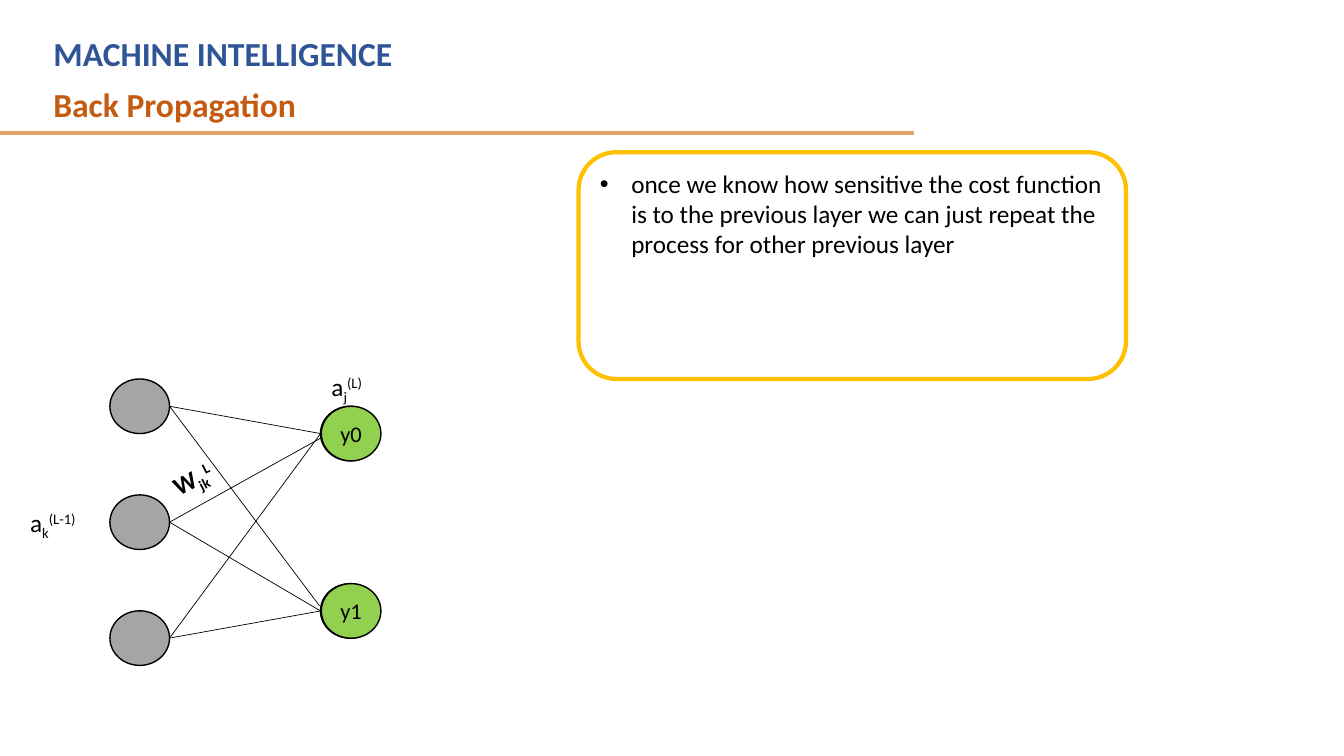
from dataclasses import dataclass

from lxml import etree
from pptx import Presentation
from pptx.dml.color import RGBColor
from pptx.enum import shapes, text
from pptx.oxml import ns
from pptx.util import Pt

BLACK = RGBColor(0x00, 0x00, 0x00)
BLUE = RGBColor(0x2F, 0x55, 0x97)
ORANGE = RGBColor(0xC5, 0x5A, 0x11)
TAN = RGBColor(0xDF, 0xA2, 0x67)
GOLD = RGBColor(0xFF, 0xC0, 0x00)
GREY = RGBColor(0xA5, 0xA5, 0xA5)
GREEN = RGBColor(0x92, 0xD0, 0x50)

NODE_WIDTH, NODE_HEIGHT = 42.6, 39
INPUT_LEFT, OUTPUT_LEFT = 78.5, 229.5
INPUT_TOPS = [270.7 + 82.8 * row for row in range(3)]
OUTPUT_TOPS = [290.2, 416.9]


@dataclass
class Node:
    left: float
    top: float
    fill: RGBColor
    label: str = ""


@dataclass
class Link:
    source: int
    target: int
    shift_x: float = 0
    shift_y: float = 0


@dataclass
class Symbol:
    base: str
    subscript: str
    superscript: str
    left: float
    top: float
    width: float
    bold: bool = False
    rotation: float = 0


OUTPUT_SHADOWS = [Node(OUTPUT_LEFT - 0.6, top, GREY) for top in OUTPUT_TOPS]
INPUTS = [Node(INPUT_LEFT, top, GREY) for top in INPUT_TOPS]
OUTPUTS = [Node(OUTPUT_LEFT, top, GREEN, f"y{row}")
           for row, top in enumerate(OUTPUT_TOPS)]
LINKS = [Link(0, 0), Link(0, 1, -0.7, -3.6), Link(1, 0, 0.7, 2.9),
         Link(1, 1), Link(2, 0), Link(2, 1)]
SYMBOLS = [
    Symbol("a", "j", "(L)", 229.7, 261.4, 63.4),
    Symbol("a", "k", "(L-1)", 14.4, 358.6, 63.4),
    Symbol("W", "jk", "L", 115.9, 326.9, 43.9, True, 333),
]


def style(span, size: float, color: RGBColor, bold: bool = False) -> None:
    span.font.name = "Calibri"
    span.font.size = Pt(size)
    span.font.color.rgb = color
    span.font.bold = bold


def place(box, left: float, top: float, width: float, height: float) -> None:
    box.left, box.top, box.width, box.height = map(
        Pt, (left, top, width, height))


def write(box, words: str, size: float, color: RGBColor, bold: bool = False):
    frame = box.text_frame
    frame.word_wrap = True
    frame.auto_size = text.MSO_AUTO_SIZE.NONE
    frame.vertical_anchor = text.MSO_ANCHOR.TOP
    frame.text = words
    para = frame.paragraphs[0]
    para.alignment = text.PP_ALIGN.LEFT
    para.space_before = Pt(0)
    style(para.runs[0], size, color, bold)
    return para


def draw_line(page, x1: float, y1: float, x2: float, y2: float,
              color: RGBColor, weight: float) -> None:
    line = page.shapes.add_connector(
        shapes.MSO_CONNECTOR.STRAIGHT, Pt(x1), Pt(y1), Pt(x2), Pt(y2))
    line.line.color.rgb = color
    line.line.width = Pt(weight)
    etree.SubElement(line._element.spPr, ns.qn("a:effectLst"))


def draw_node(page, node: Node) -> None:
    circle = page.shapes.add_shape(
        shapes.MSO_SHAPE.OVAL, Pt(node.left), Pt(node.top),
        Pt(NODE_WIDTH), Pt(NODE_HEIGHT))
    circle.shadow.inherit = False
    circle.fill.solid()
    circle.fill.fore_color.rgb = node.fill
    circle.line.color.rgb = BLACK
    circle.line.width = Pt(1)
    if node.label:
        para = write(circle, node.label, 16, BLACK)
        para.alignment = text.PP_ALIGN.CENTER
        circle.text_frame.vertical_anchor = text.MSO_ANCHOR.MIDDLE
        circle.text_frame.word_wrap = False


def draw_link(page, link: Link) -> None:
    middle = NODE_HEIGHT / 2
    draw_line(page, INPUT_LEFT + NODE_WIDTH, INPUT_TOPS[link.source] + middle,
              OUTPUT_LEFT - 0.5 + link.shift_x,
              OUTPUT_TOPS[link.target] + middle + link.shift_y, BLACK, 0.5)


def draw_symbol(page, symbol: Symbol) -> None:
    box = page.shapes.add_textbox(
        Pt(symbol.left), Pt(symbol.top), Pt(symbol.width), Pt(29))
    box.rotation = symbol.rotation
    para = write(box, symbol.base, 18, BLACK, symbol.bold)
    box.text_frame.word_wrap = not symbol.rotation
    for words, baseline in ((symbol.subscript, -25000),
                            (symbol.superscript, 30000)):
        span = para.add_run()
        span.text = words
        style(span, 18, BLACK, symbol.bold)
        span._r.get_or_add_rPr().set("baseline", str(baseline))


def main() -> None:
    deck = Presentation()
    deck.slide_width, deck.slide_height = Pt(960), Pt(540)
    page = deck.slides.add_slide(deck.slide_layouts[1])

    # Heading
    title, body = page.shapes.title, page.placeholders[1]
    place(title, 31, 20.2, 590, 36)
    write(title, "MACHINE INTELLIGENCE", 24, BLUE, True)
    subtitle = page.shapes.add_textbox(Pt(31), Pt(56.5), Pt(630), Pt(36))
    write(subtitle, "Back Propagation", 24, ORANGE, True)
    draw_line(page, -0.7, 95.2, 653, 95.2, TAN, 3)

    # Network
    for node in OUTPUT_SHADOWS + INPUTS:
        draw_node(page, node)
    for link in LINKS:
        draw_link(page, link)
    for node in OUTPUTS:
        draw_node(page, node)
    for symbol in SYMBOLS:
        draw_symbol(page, symbol)

    # Framed note
    frame = page.shapes.add_shape(
        shapes.MSO_SHAPE.ROUNDED_RECTANGLE,
        Pt(413.3), Pt(108.7), Pt(391), Pt(162))
    frame.shadow.inherit = False
    frame.fill.background()
    frame.line.color.rgb = GOLD
    frame.line.width = Pt(3)
    place(body, 421.2, 116.6, 375.2, 146.2)
    para = write(body, "once we know how sensitive the cost function is to the "
                 "previous layer we can just repeat the process for other "
                 "previous layer", 18, BLACK)
    properties = para._p.get_or_add_pPr()
    properties.set("marL", str(Pt(22.5)))
    properties.set("indent", str(Pt(-22.5)))
    etree.SubElement(properties, ns.qn("a:buFont")).set("typeface", "Arial")
    etree.SubElement(properties, ns.qn("a:buChar")).set("char", "•")

    deck.save("out.pptx")


if __name__ == "__main__":
    main()
